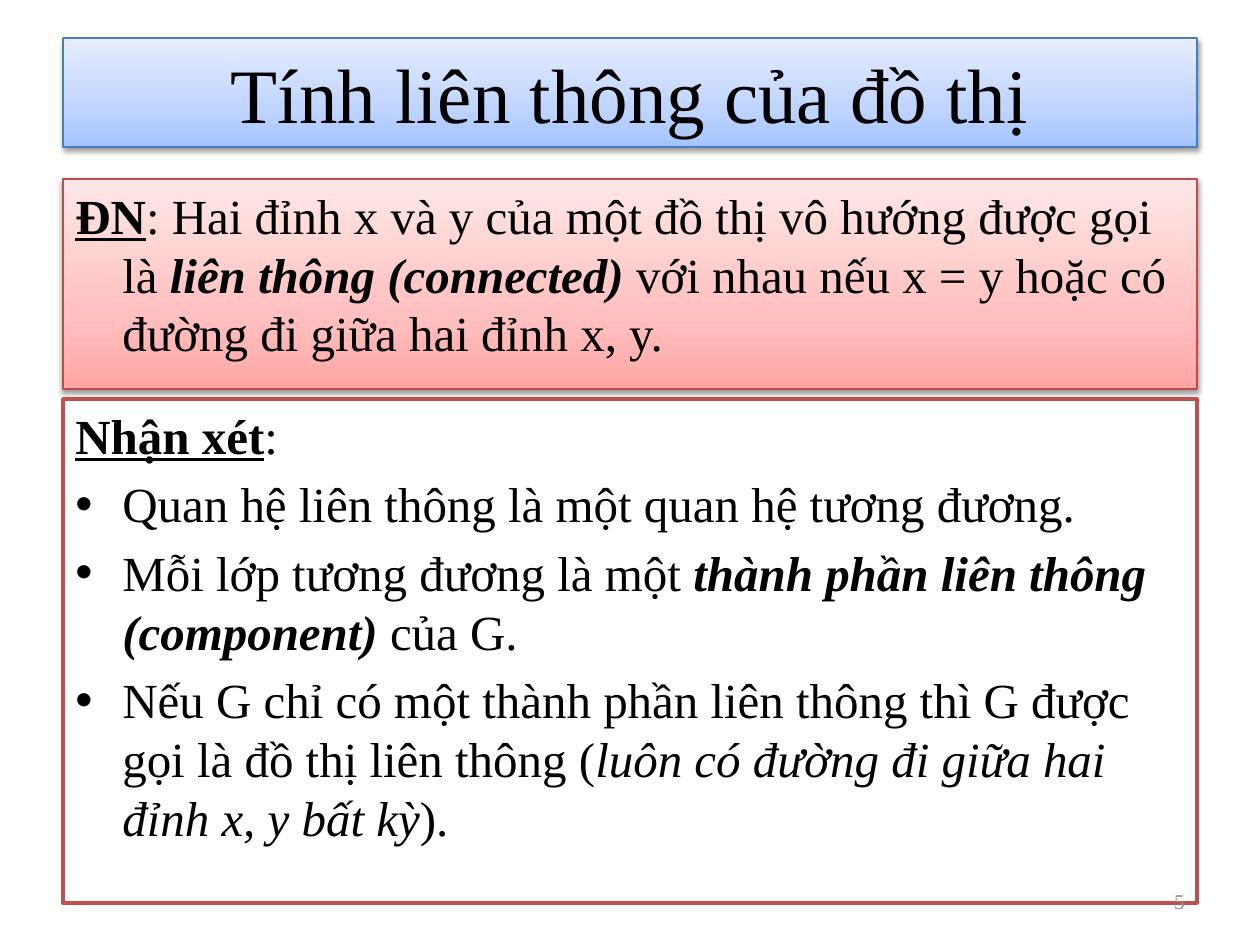
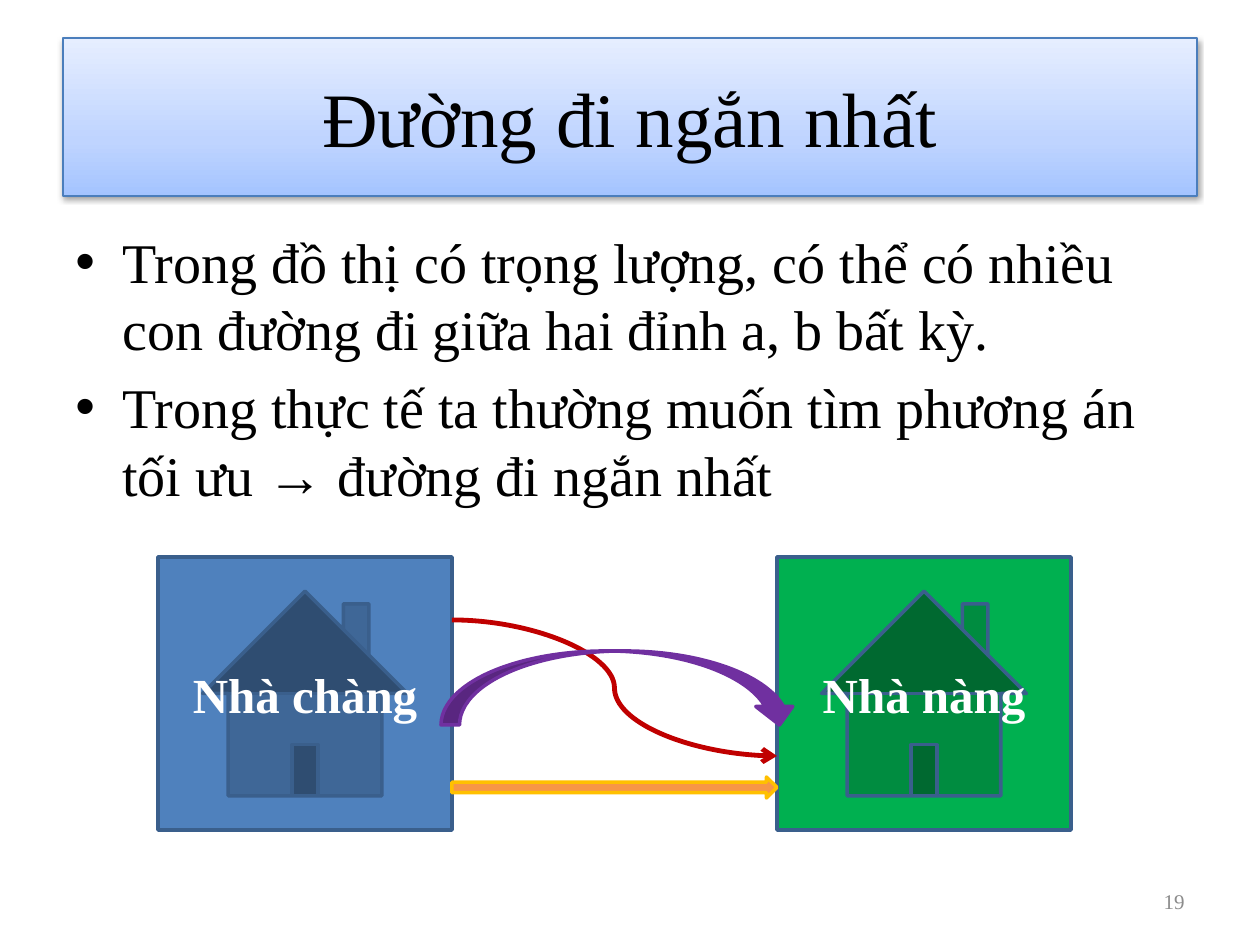
from lxml import etree
from pptx import Presentation, util as u
from pptx.dml.color import RGBColor
from pptx.enum import shapes, text
from pptx.oxml.ns import qn

SCALE = u.Inches(1) / 126  # EMU in one px
FONT = "Times New Roman"
COLORS = {
    "text": "000000", "paper": "FFFFFF", "number": "8C8C8C",
    "title_line": "4B7EBC", "definition_line": "BF4C48", "remark_line": "C0504D",
    "his_house": "4F81BD", "her_house": "00B050", "house_line": "3A5F8C",
    "winding": "C00000", "arc": "7030A0", "straight": "F79646", "straight_line": "FFC000",
}
BLUE_BAND = [(0, "A4C4FF"), (35, "BFD4FF"), (100, "E6EEFF")]
RED_BAND = [(0, "FFA6A5"), (35, "FFC0BF"), (100, "FFE7E7")]

LEFT, WIDTH = 63, 1134
NUMBER_BOX = (903, 876, 294, 50)
INDENT = 47
BULLET = "•"

HEADING = {"bold": True, "underline": True}
TERM = {"bold": True, "italic": True}
ASIDE = {"italic": True}

# Each paragraph is (bullet, runs); each run is (words, format).
DEFINITION = [
    ("", [("ĐN", HEADING),
          (": Hai đỉnh x và y của một đồ thị vô hướng được gọi là ", {}),
          ("liên thông (connected) ", TERM),
          ("với nhau nếu x = y hoặc có đường đi giữa hai đỉnh x, y.", {})]),
]
REMARKS = [
    ("", [("Nhận xét", HEADING), (":", {})]),
    (BULLET, [("Quan hệ liên thông là một quan hệ tương đương.", {})]),
    (BULLET, [("Mỗi lớp tương đương là một ", {}),
              ("thành phần liên thông (component) ", TERM),
              ("của G.", {})]),
    (BULLET, [("Nếu G chỉ có một thành phần liên thông thì G được gọi là đồ thị liên thông (", {}),
              ("luôn có đường đi giữa hai đỉnh x, y bất kỳ", ASIDE),
              (").", {})]),
]
SHORTEST_PATH = [
    (BULLET, [("Trong đồ thị có trọng lượng, có thể có nhiều con đường đi giữa hai đỉnh a, b bất kỳ.", {})]),
    (BULLET, [("Trong thực tế ta thường muốn tìm phương án tối ưu → đường đi ngắn nhất", {})]),
]

HOUSE_TOP, HOUSE_WIDTH, HOUSE_HEIGHT = 557, 294, 273
HOUSES = [(158, "Nhà chàng", "his_house"), (777, "Nhà nàng", "her_house")]
ROAD_START = HOUSES[0][0] + HOUSE_WIDTH
ROAD_END = HOUSES[1][0]
WINDING_ROAD = (ROAD_START, 620, ROAD_END, 756)
BLOCK_ROADS = [
    ("CURVED_DOWN_ARROW", (441, 651, 357, 74), "arc", "arc"),
    ("RIGHT_ARROW", (ROAD_START, 777, ROAD_END - ROAD_START, 21), "straight", "straight_line"),
]


def px(*lengths):
    return [round(length * SCALE) for length in lengths]


def color(name):
    return RGBColor.from_string(COLORS[name])


def add_xml(parent, tag, **attributes):
    return etree.SubElement(parent, qn(tag), attributes)


def set_attributes(target, values):
    for name, value in values.items():
        setattr(target, name, value)


def set_line(shape, name, points):
    shape.line.color.rgb = color(name)
    shape.line.width = u.Pt(points)


def paint(shape, fill, line, points=2):
    shape.shadow.inherit = False
    shape.fill.solid()
    shape.fill.fore_color.rgb = color(fill)
    set_line(shape, line, points)


def paint_band(shape, stops, line):
    """Give a band its upward gradient, thin outline and soft drop shadow."""
    shape.fill.gradient()
    shape.fill.gradient_angle = 90
    stop_list = shape._element.spPr.find(".//" + qn("a:gsLst"))
    for old_stop in list(stop_list):
        stop_list.remove(old_stop)
    for percent, value in stops:
        stop = add_xml(stop_list, "a:gs", pos=str(percent * 1000))
        add_xml(stop, "a:srgbClr", val=value)
    set_line(shape, line, 0.75)
    shape.shadow.inherit = False
    effects = shape._element.spPr.find(qn("a:effectLst"))
    shadow = add_xml(effects, "a:outerShdw", blurRad="40000", dist="20000",
                     dir="5400000", rotWithShape="0")
    add_xml(add_xml(shadow, "a:srgbClr", val=COLORS["text"]), "a:alpha", val="38000")


def add_run(paragraph, words, size, color_name="text", **styles):
    run = paragraph.add_run()
    run.text = words
    set_attributes(run.font, {"name": FONT, "size": u.Pt(size), **styles})
    run.font.color.rgb = color(color_name)


def write_line(shape, words, size, align, color_name="text", **styles):
    set_attributes(shape.text_frame, {"word_wrap": True,
                                      "vertical_anchor": text.MSO_ANCHOR.MIDDLE})
    paragraph = shape.text_frame.paragraphs[0]
    paragraph.alignment = align
    add_run(paragraph, words, size, color_name, **styles)


def write_paragraphs(shape, paragraphs, size):
    """Write hanging paragraphs, with a bullet where one is given."""
    frame = shape.text_frame
    set_attributes(frame, {"word_wrap": True, "vertical_anchor": text.MSO_ANCHOR.TOP})
    indent, = px(INDENT)
    for index, (bullet, runs) in enumerate(paragraphs):
        paragraph = frame.add_paragraph() if index else frame.paragraphs[0]
        set_attributes(paragraph, {"alignment": text.PP_ALIGN.LEFT,
                                   "space_before": u.Pt(size * 0.2)})
        properties = paragraph._p.get_or_add_pPr()
        properties.set("marL", str(indent))
        properties.set("indent", str(-indent))
        if bullet:
            add_xml(properties, "a:buFont", typeface="Arial")
            add_xml(properties, "a:buChar", char=bullet)
        for words, styles in runs:
            add_run(paragraph, words, size, **styles)


def add_shape(slide, kind, box):
    return slide.shapes.add_shape(getattr(shapes.MSO_SHAPE, kind), *px(*box))


def add_slide(presentation, title, title_height, number):
    slide = presentation.slides.add_slide(presentation.slide_layouts[5])
    band = slide.shapes.title
    sides = px(LEFT, 38, WIDTH, title_height)
    set_attributes(band, dict(zip(("left", "top", "width", "height"), sides)))
    paint_band(band, BLUE_BAND, "title_line")
    write_line(band, title, 44, text.PP_ALIGN.CENTER)
    number_box = slide.shapes.add_textbox(*px(*NUMBER_BOX))
    write_line(number_box, number, 12, text.PP_ALIGN.RIGHT, "number")
    return slide


def build_connectivity(presentation):
    slide = add_slide(presentation, "Tính liên thông của đồ thị", 109, "5")
    definition = add_shape(slide, "RECTANGLE", (LEFT, 179, WIDTH, 210))
    paint_band(definition, RED_BAND, "definition_line")
    write_paragraphs(definition, DEFINITION, 28)
    remarks = add_shape(slide, "RECTANGLE", (LEFT, 399, WIDTH, 504))
    paint(remarks, "paper", "remark_line")
    write_paragraphs(remarks, REMARKS, 28)
    # The page number lies over the lower edge of the remarks.
    number_box = slide.shapes[1]._element
    remarks._element.addnext(number_box)


def build_shortest_path(presentation):
    slide = add_slide(presentation, "Đường đi ngắn nhất", 158, "19")
    body = slide.shapes.add_textbox(*px(LEFT, 221, WIDTH, 624))
    write_paragraphs(body, SHORTEST_PATH, 32)
    for left, label, fill in HOUSES:
        house = add_shape(slide, "ACTION_BUTTON_HOME",
                          (left, HOUSE_TOP, HOUSE_WIDTH, HOUSE_HEIGHT))
        paint(house, fill, "house_line")
        write_line(house, label, 28, text.PP_ALIGN.CENTER, "paper", bold=True)
    winding = slide.shapes.add_connector(shapes.MSO_CONNECTOR.CURVE, *px(*WINDING_ROAD))
    set_line(winding, "winding", 2.75)
    add_xml(winding.line._get_or_add_ln(), "a:tailEnd", type="arrow")
    add_xml(winding._element.spPr, "a:effectLst")
    for kind, box, fill, line in BLOCK_ROADS:
        paint(add_shape(slide, kind, box), fill, line)


def main():
    presentation = Presentation()
    presentation.slide_width, presentation.slide_height = px(1260, 945)
    build_connectivity(presentation)
    build_shortest_path(presentation)
    presentation.save("out.pptx")


if __name__ == "__main__":
    main()
